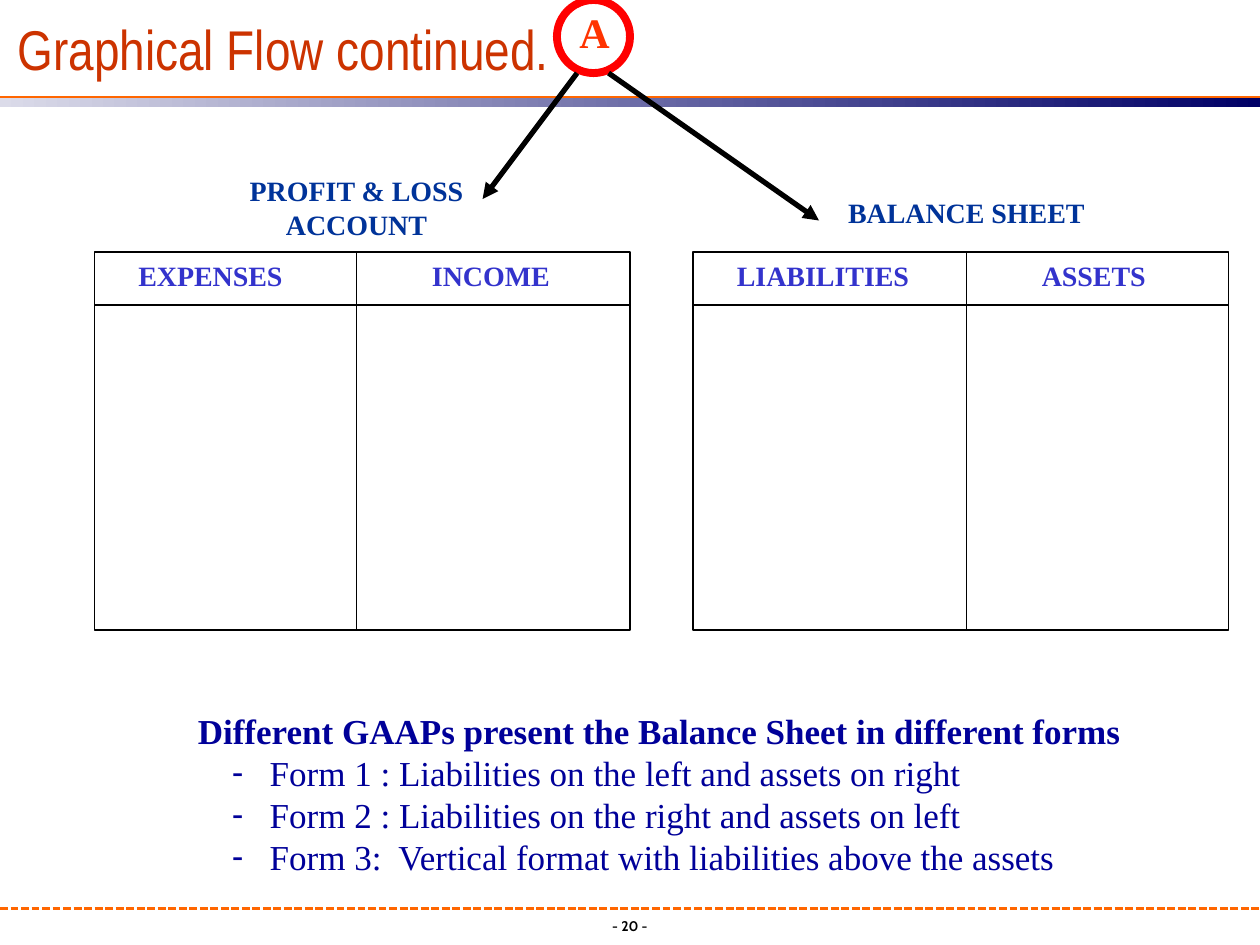
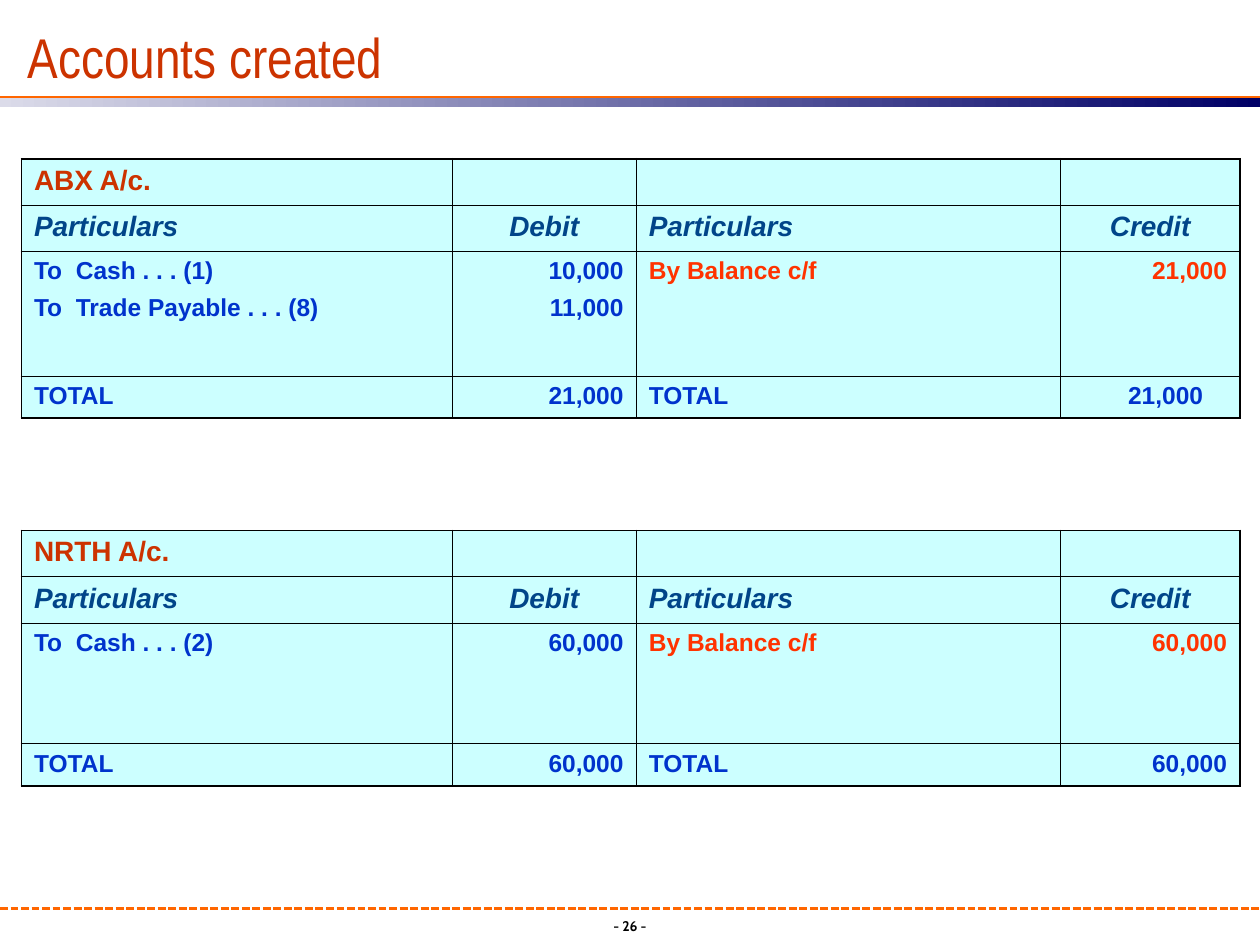
"""Build two accounting slides: the graphical flow and the accounts created."""
import pptx
import pptx.dml.color
import pptx.enum.dml
import pptx.enum.shapes
import pptx.enum.text
import pptx.oxml.ns
import pptx.util
from lxml import etree

Inches, Pt = pptx.util.Inches, pptx.util.Pt
RGBColor = pptx.dml.color.RGBColor
ALIGN = pptx.enum.text.PP_ALIGN
SHAPE = pptx.enum.shapes.MSO_SHAPE
qn = pptx.oxml.ns.qn

BLACK = RGBColor(0x00, 0x00, 0x00)
ORANGE = RGBColor(0xFF, 0x66, 0x00)
BAND_LIGHT = RGBColor(0xDB, 0xDB, 0xE9)
BAND_DARK = RGBColor(0x00, 0x00, 0x66)
TITLE_RED = RGBColor(0xCC, 0x33, 0x00)
RING_RED = RGBColor(0xFF, 0x00, 0x00)
BALANCE_RED = RGBColor(0xFF, 0x33, 0x00)
CAPTION_BLUE = RGBColor(0x00, 0x33, 0x99)
SIDE_BLUE = RGBColor(0x33, 0x33, 0xCC)
LIST_BLUE = RGBColor(0x00, 0x00, 0x99)
HEADING_BLUE = RGBColor(0x01, 0x45, 0x89)
ENTRY_BLUE = RGBColor(0x00, 0x33, 0xCC)
CELL_CYAN = RGBColor(0xCC, 0xFF, 0xFF)

SERIF, SANS, NARROW, FOOTER_FONT = "Times New Roman", "Arial", "Arial Narrow", "Cabin"
THIN, THICK = 0.45, 1.08
COLUMN_WIDTHS = (3.42, 1.46, 3.37, 1.42)


def add_run(paragraph, text, font, size, color, bold=True, italic=False):
    """Add one formatted run to a paragraph."""
    run = paragraph.add_run()
    run.text = text
    run.font.name, run.font.size = font, Pt(size)
    run.font.bold, run.font.italic = bold, italic
    run.font.color.rgb = color
    return run


def add_label(slide, box, text, font, size, color, align=ALIGN.LEFT):
    """Add a wrapped single-paragraph text box."""
    frame = slide.shapes.add_textbox(*map(Inches, box)).text_frame
    frame.word_wrap = True
    paragraph = frame.paragraphs[0]
    paragraph.alignment = align
    add_run(paragraph, text, font, size, color)


def add_line(slide, start, end, color=BLACK, width=0.75, arrow=False):
    """Add a straight line, with an arrowhead at its end if asked."""
    connector = slide.shapes.add_connector(
        pptx.enum.shapes.MSO_CONNECTOR.STRAIGHT, *map(Inches, (*start, *end)))
    connector.line.color.rgb = color
    connector.line.width = Pt(width)
    if arrow:
        etree.SubElement(connector.line._get_or_add_ln(), qn("a:tailEnd"), type="triangle")
    etree.SubElement(connector._element.spPr, qn("a:effectLst"))
    return connector


def add_outline(slide, kind, box, color, width):
    """Add an unfilled shape with a coloured outline."""
    outline = slide.shapes.add_shape(kind, *map(Inches, box))
    outline.shadow.inherit = False
    outline.fill.background()
    outline.line.color.rgb = color
    outline.line.width = Pt(width)


def add_frame(slide, page):
    """Add the gradient band, rules and page number shared by all slides."""
    footer_rule = add_line(slide, (0, 7.21), (10, 7.21), ORANGE, 1.5)
    footer_rule.line.dash_style = pptx.enum.dml.MSO_LINE.SQUARE_DOT
    band = slide.shapes.add_shape(
        SHAPE.RECTANGLE, Inches(0), Inches(0.78), Inches(10), Inches(0.07))
    band.shadow.inherit = False
    band.line.fill.background()
    band.fill.gradient()
    band.fill.gradient_angle = 0
    for stop, color in zip(band.fill.gradient_stops, (BAND_LIGHT, BAND_DARK)):
        stop.color.rgb = color
    add_line(slide, (-0.02, 0.77), (10, 0.77), ORANGE, 1.5)
    add_label(slide, (3.96, 7.23, 2.08, 0.27), f"- {page} -",
              FOOTER_FONT, 8, BLACK, ALIGN.CENTER)


def place(placeholder, box):
    """Move a placeholder to a box and return its text frame."""
    placeholder.left, placeholder.top, placeholder.width, placeholder.height = map(Inches, box)
    frame = placeholder.text_frame
    frame.auto_size = pptx.enum.text.MSO_AUTO_SIZE.NONE
    frame.word_wrap = True
    return frame


def set_title(slide, box, text):
    """Fill the title placeholder with shadowed narrow text."""
    frame = place(slide.shapes.title, box)
    frame.margin_left = frame.margin_right = frame.margin_top = frame.margin_bottom = 0
    frame.vertical_anchor = pptx.enum.text.MSO_ANCHOR.BOTTOM
    paragraph = frame.paragraphs[0]
    paragraph.alignment = ALIGN.LEFT
    run = add_run(paragraph, text, NARROW, 32, TITLE_RED, bold=False)
    effects = etree.Element(qn("a:effectLst"))
    shadow = etree.SubElement(effects, qn("a:outerShdw"), dist="25400", dir="2700000")
    etree.SubElement(shadow, qn("a:srgbClr"), val="808080")
    run._r.rPr.find(qn("a:solidFill")).addnext(effects)


def add_statement(slide, box, divider, sides, caption, caption_box):
    """Draw a two-sided statement with its caption and side names."""
    left, top, width, height = box
    add_outline(slide, SHAPE.RECTANGLE, box, BLACK, 0.75)
    add_line(slide, (left + divider, top), (left + divider, top + height))
    add_line(slide, (left, top + 0.42), (left + width, top + 0.42))
    x, y, caption_height = caption_box
    add_label(slide, (left + x, top + y, 3, caption_height), caption,
              SERIF, 16, CAPTION_BLUE, ALIGN.CENTER)
    for side, offset in zip(sides, (0.25, divider + 0.5)):
        add_label(slide, (left + offset, top, 1.83, 0.37), side, SERIF, 16, SIDE_BLUE)


def add_marker(slide, box, letter):
    """Draw the ringed letter and the arrows to both statements."""
    left, top, size, _ = box
    add_label(slide, (left + 0.08, top, 0.92, 0.5), letter, SERIF, 24, BALANCE_RED)
    add_outline(slide, SHAPE.OVAL, box, RING_RED, 4.5)
    for offset, target in ((0.16, (3.83, 1.58)), (0.41, (6.5, 1.75))):
        add_line(slide, (left + offset, top + size), target, width=3, arrow=True)


def set_forms(slide, box, heading, forms):
    """Fill the body placeholder with a heading and a dashed list."""
    frame = place(slide.placeholders[1], box)
    for index, text in enumerate((heading, *forms)):
        paragraph = frame.add_paragraph() if index else frame.paragraphs[0]
        properties = paragraph._p.get_or_add_pPr()
        properties.set("marL", str(Inches(0.57) if index else 0))
        properties.set("indent", str(Inches(-0.3) if index else 0))
        if index:
            etree.SubElement(properties, qn("a:buChar"), char="-")
        else:
            etree.SubElement(properties, qn("a:buNone"))
        paragraph.space_before = Pt(0)
        add_run(paragraph, text, SERIF, 20, LIST_BLUE, bold=not index)


def set_borders(cell, widths):
    """Set the left, right, top and bottom border widths of a cell."""
    properties = cell._tc.get_or_add_tcPr()
    for side, width in zip("LRTB", widths):
        line = etree.SubElement(properties, qn(f"a:ln{side}"), w=str(Pt(width)))
        fill = etree.SubElement(line, qn("a:solidFill"))
        etree.SubElement(fill, qn("a:srgbClr"), val=str(BLACK))


def fill_cell(cell, lines, align, size, color, italic):
    """Write the lines of one ledger cell."""
    for index, text in enumerate(lines):
        paragraph = cell.text_frame.add_paragraph() if index else cell.text_frame.paragraphs[0]
        paragraph.alignment = align
        if index:
            paragraph.space_before = Pt(5.2)
        add_run(paragraph, text, SANS, size, color, italic=italic)
    if not lines:
        etree.SubElement(cell.text_frame.paragraphs[0]._p, qn("a:endParaRPr"),
                         sz=str(size * 100))


def add_ledger(slide, left, top, heights, account, debits, amounts, total):
    """Add one account as a table of debits and credits."""
    rows = (
        ([account], [], [], []),
        (["Particulars"], ["Debit"], ["Particulars"], ["Credit"]),
        (debits, amounts, ["By Balance c/f"], [total]),
        (["TOTAL"], [total], ["TOTAL"], [total]),
    )
    styles = ((16, TITLE_RED, False), (16, HEADING_BLUE, True),
              (14, ENTRY_BLUE, False), (14, ENTRY_BLUE, False))
    ledger = slide.shapes.add_table(
        4, 4, Inches(left), Inches(top),
        Inches(sum(COLUMN_WIDTHS)), Inches(sum(heights))).table
    ledger.first_row = ledger.horz_banding = False
    for column, width in zip(ledger.columns, COLUMN_WIDTHS):
        column.width = Inches(width)
    for r, (row, (size, color, italic)) in enumerate(zip(rows, styles)):
        ledger.rows[r].height = Inches(heights[r])
        for c, lines in enumerate(row):
            cell = ledger.cell(r, c)
            edges = (c == 0, c == 3, r == 0, r == 3)
            set_borders(cell, [THICK if edge else THIN for edge in edges])
            cell.fill.solid()
            cell.fill.fore_color.rgb = CELL_CYAN
            amount_align = ALIGN.CENTER if r == 1 else ALIGN.RIGHT
            fill_cell(cell, lines, amount_align if c % 2 else ALIGN.LEFT, size,
                      BALANCE_RED if r == 2 and c > 1 else color, italic)
    return ledger


def build_flow(presentation):
    """Build the slide with the two statements."""
    slide = presentation.slides.add_slide(presentation.slide_layouts[1])
    add_frame(slide, 20)
    add_marker(slide, (4.42, 0, 0.58, 0.58), "A")
    add_statement(slide, (0.75, 2, 4.25, 3), 2.08, ("EXPENSES", "INCOME"),
                  "PROFIT & LOSS ACCOUNT", (0.58, -0.67, 0.64))
    add_statement(slide, (5.5, 2, 4.25, 3), 2.17, ("LIABILITIES", "ASSETS"),
                  "BALANCE SHEET", (0.67, -0.5, 0.37))
    set_forms(slide, (1.47, 5.58, 7.7, 1.44),
              "Different GAAPs present the Balance Sheet in different forms",
              ("Form 1 : Liabilities on the left and assets on right",
               "Form 2 : Liabilities on the right and assets on left",
               "Form 3:  Vertical format with liabilities above the assets"))
    set_title(slide, (0.14, 0.14, 8.5, 0.51), "Graphical Flow continued.")


def build_accounts(presentation):
    """Build the slide with the two ledgers."""
    slide = presentation.slides.add_slide(presentation.slide_layouts[5])
    add_frame(slide, 26)
    first = add_ledger(slide, 0.17, 1.26, (0.35, 0.34, 0.99, 0.32), "ABX A/c.",
                       ["To  Cash . . . (1)", "To  Trade Payable . . . (8)"],
                       ["10,000", "11,000"], "21,000")
    first.cell(3, 3).margin_right = Inches(0.29)
    add_ledger(slide, 0.17, 4.21, (0.35, 0.34, 0.96, 0.32), "NRTH A/c.",
               ["To  Cash . . . (2)"], ["60,000"], "60,000")
    set_title(slide, (0.22, 0.17, 8.5, 0.54), "Accounts created")


def main():
    """Create and save the presentation."""
    presentation = pptx.Presentation()
    presentation.slide_width, presentation.slide_height = Inches(10), Inches(7.5)
    build_flow(presentation)
    build_accounts(presentation)
    presentation.save("out.pptx")


if __name__ == "__main__":
    main()
